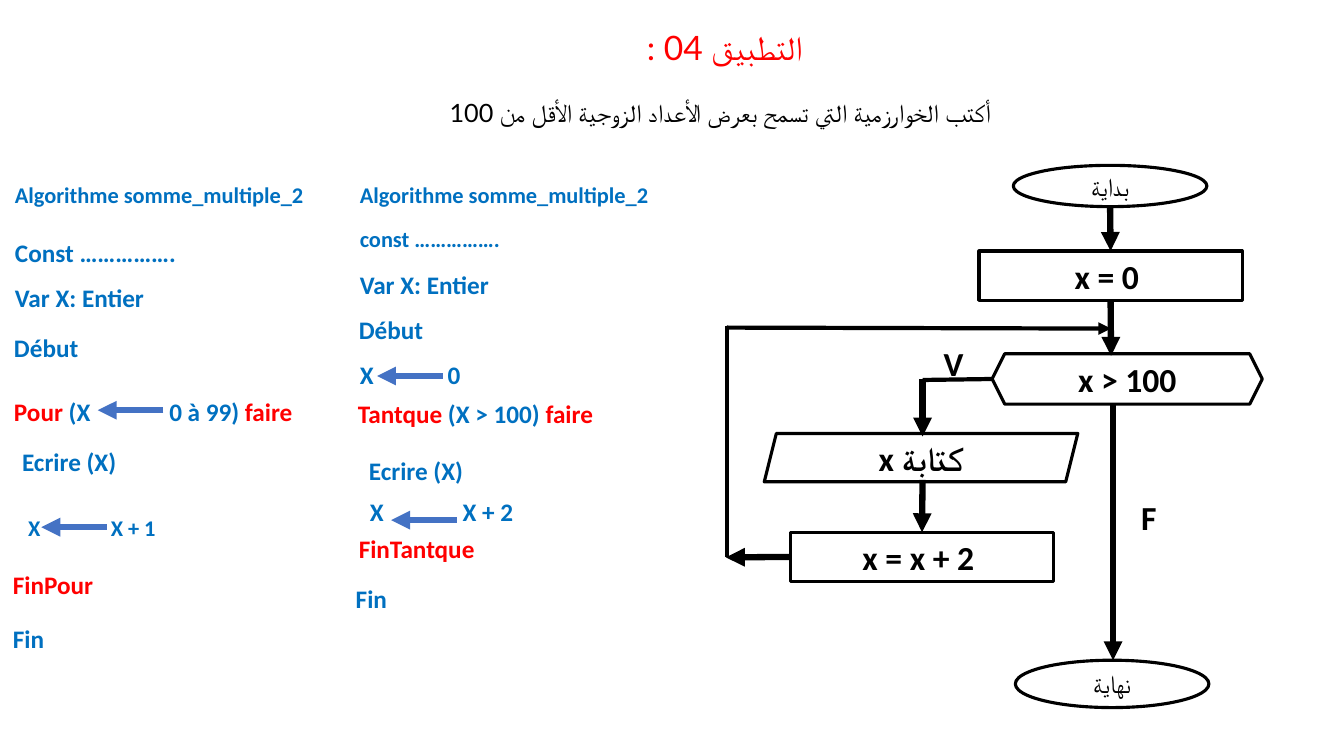
from lxml import etree
from pptx import Presentation
from pptx.dml.color import RGBColor
from pptx.enum.shapes import MSO_CONNECTOR, MSO_SHAPE
from pptx.enum.text import MSO_ANCHOR, MSO_AUTO_SIZE, PP_ALIGN
from pptx.oxml.ns import qn
from pptx.util import Inches, Pt

COLORS = {"black": "000000", "white": "FFFFFF", "red": "FF0000",
          "blue": "0070C0", "arrow": "4472C4"}

# Content: heading paragraphs (text, size, colour, line spacing)
HEADING = [
    ("التطبيق 04 : ", 24, "red", 1),
    ("أكتب الخوارزمية التي تسمح بعرض الأعداد الزوجية الأقل من 100", 18, "black", 2),
]

# Flowchart nodes: preset, left, top, width, height, text, size, font, bold, rtl
NODES = {
    "start": (MSO_SHAPE.OVAL, 10.05, 1.64, 1.92, 0.41, "بداية", 18, "Lato", False, False),
    "end": (MSO_SHAPE.OVAL, 10.07, 6.55, 1.92, 0.47, "نهاية", 18, "Lato", False, False),
    "init": (MSO_SHAPE.RECTANGLE, 9.71, 2.49, 2.61, 0.49, "x = 0 ", 24, "Calibri", True, False),
    "write": (MSO_SHAPE.PARALLELOGRAM, 7.58, 4.3, 3.11, 0.48, "كتابة x", 24, "Calibri", True, True),
    "step": (MSO_SHAPE.RECTANGLE, 7.84, 5.28, 2.61, 0.49, "x = x + 2 ", 24, "Calibri", True, False),
    "test": (MSO_SHAPE.HEXAGON, 9.84, 3.51, 2.68, 0.5, "x > 100", 24, "Calibri", True, False),
}

# Flow lines: from, to, width, arrowhead, joined start, joined end (node, side)
FLOWS = [
    ((11.01, 2.04), (11.01, 2.49), 4.5, True, None, ("init", 0)),
    ((11.02, 2.98), (11.02, 3.53), 4.5, True, ("init", 2), None),
    ((11.04, 4.01), (11.04, 6.55), 4.5, True, None, None),
    ((9.84, 3.76), (9.15, 3.77), 3, False, None, None),
    ((9.15, 3.76), (9.15, 4.33), 4.5, True, None, None),
    ((9.15, 4.76), (9.15, 5.28), 4.5, True, None, ("step", 0)),
    ((7.84, 5.53), (7.2, 5.53), 4.5, True, ("step", 1), None),
    ((7.21, 5.53), (7.21, 3.23), 3, False, None, None),
    ((7.21, 3.25), (11.02, 3.26), 3, True, None, None),
]
BRANCHES = [("V", 9.26, 3.35), ("F", 11.22, 4.88)]

# Algorithm lines: left, top, width, size, runs (text, colour), tab stop
WHILE_LINES = [
    (3.47, 1.75, 3.19, 16, [("Algorithme somme_multiple_2", "blue")], None),
    (3.47, 2.18, 2.98, 16, [("const …………….", "blue")], None),
    (3.47, 2.62, 2.98, 18, [("Var X: Entier", "blue")], None),
    (3.46, 3.07, 2.98, 18, [("Début", "blue")], None),
    (3.47, 3.52, 2.98, 18, [("X\t0", "blue")], 0.87),
    (3.45, 3.9, 2.98, 18,
     [("Tantque", "red"), (" (X > 100) ", "blue"), ("faire", "red")], None),
    (3.56, 4.47, 2.98, 18, [("Ecrire (X)", "blue")], None),
    (3.57, 4.87, 2.98, 18, [("X\tX + 2", "blue")], 0.92),
    (3.46, 5.24, 2.98, 18, [("FinTantque", "red")], None),
    (3.43, 5.74, 2.98, 18, [("Fin", "blue")], None),
]
FOR_LINES = [
    (0.05, 1.75, 3.16, 16, [("Algorithme somme_multiple_2", "blue")], None),
    (0.05, 2.31, 2.98, 18, [("Const …………….", "blue")], None),
    (0.05, 2.75, 2.98, 18, [("Var X: Entier", "blue")], None),
    (0.04, 3.25, 2.98, 18, [("Début", "blue")], None),
    (0.04, 3.88, 3.48, 18,
     [("Pour", "red"), (" (X\t0 à 99) ", "blue"), ("faire", "red")], 1.54),
    (0.12, 4.38, 2.98, 18, [("Ecrire (X)", "blue")], None),
    (0.18, 5.05, 4.35, 16, [("X\tX + 1", "blue")], 0.82),
    (0.03, 5.6, 2.98, 18, [("FinPour", "red")], None),
    (0.03, 6.13, 2.98, 18, [("Fin", "blue")], None),
]

# Assignment arrows: right end and height
ASSIGN_LENGTH = 0.65
ASSIGNMENTS = [(4.53, 5.16), (4.39, 3.73), (1.06, 5.23), (1.62, 4.07)]


def rgb(name):
    return RGBColor.from_string(COLORS[name])


def add_run(p, text, size, font, color, bold=False):
    r = p.add_run()
    r.text = text
    r.font.size, r.font.name, r.font.bold = Pt(size), font, bold
    r.font.color.rgb = rgb(color)
    etree.SubElement(r._r.get_or_add_rPr(), qn("a:cs"), typeface=font)


def add_box(slide, left, top, width, height):
    s = slide.shapes.add_textbox(*map(Inches, (left, top, width, height)))
    tf = s.text_frame
    tf.word_wrap = True
    tf.auto_size = MSO_AUTO_SIZE.SHAPE_TO_FIT_TEXT
    return tf


def center(p, rtl):
    p.alignment = PP_ALIGN.CENTER
    if rtl:
        p._p.get_or_add_pPr().set("rtl", "1")


def add_node(slide, preset, left, top, width, height, text, size, font, bold, rtl):
    s = slide.shapes.add_shape(preset, *map(Inches, (left, top, width, height)))
    s.shadow.inherit = False
    s.fill.solid()
    s.fill.fore_color.rgb = rgb("white")
    s.line.color.rgb = rgb("black")
    s.line.width = Pt(2.25)
    tf = s.text_frame
    tf.vertical_anchor = MSO_ANCHOR.MIDDLE
    p = tf.paragraphs[0]
    center(p, rtl)
    add_run(p, text, size, font, "black", bold)
    return s


def add_line(slide, start, end, width, color, arrow):
    c = slide.shapes.add_connector(MSO_CONNECTOR.STRAIGHT, *map(Inches, start + end))
    c.line.color.rgb = rgb(color)
    c.line.width = Pt(width)
    if arrow:
        etree.SubElement(c.line._get_or_add_ln(), qn("a:tailEnd"), type="triangle")
    etree.SubElement(c._element.spPr, qn("a:effectLst"))
    return c


def add_code_line(slide, left, top, width, size, runs, tab):
    p = add_box(slide, left, top, width, 0.4 if size == 18 else 0.37).paragraphs[0]
    if tab:
        tabs = etree.SubElement(p._p.get_or_add_pPr(), qn("a:tabLst"))
        etree.SubElement(tabs, qn("a:tab"), pos=str(Inches(tab)), algn="l")
    for text, color in runs:
        add_run(p, text, size, "Calibri", color, True)


def main():
    prs = Presentation()
    prs.slide_width, prs.slide_height = Inches(13.33), Inches(7.5)
    slide = prs.slides.add_slide(prs.slide_layouts[6])

    # Heading
    tf = add_box(slide, 2.19, 0.22, 9.91, 1.11)
    for i, (text, size, color, spacing) in enumerate(HEADING):
        p = tf.add_paragraph() if i else tf.paragraphs[0]
        center(p, True)
        p.line_spacing = float(spacing)
        add_run(p, text, size, "Lato", color)

    # Flowchart
    nodes = {name: add_node(slide, *node) for name, node in NODES.items()}
    for start, end, width, arrow, begin_at, end_at in FLOWS:
        c = add_line(slide, start, end, width, "black", arrow)
        if begin_at:
            c.begin_connect(nodes[begin_at[0]], begin_at[1])
        if end_at:
            c.end_connect(nodes[end_at[0]], end_at[1])
    for text, left, top in BRANCHES:
        p = add_box(slide, left, top, 0.39, 0.5).paragraphs[0]
        add_run(p, text, 24, "Calibri", "black", True)

    # Both algorithms
    for line in WHILE_LINES + FOR_LINES:
        add_code_line(slide, *line)
    for right, y in ASSIGNMENTS:
        add_line(slide, (right, y), (right - ASSIGN_LENGTH, y), 4.5, "arrow", True)

    prs.save("out.pptx")


if __name__ == "__main__":
    main()
